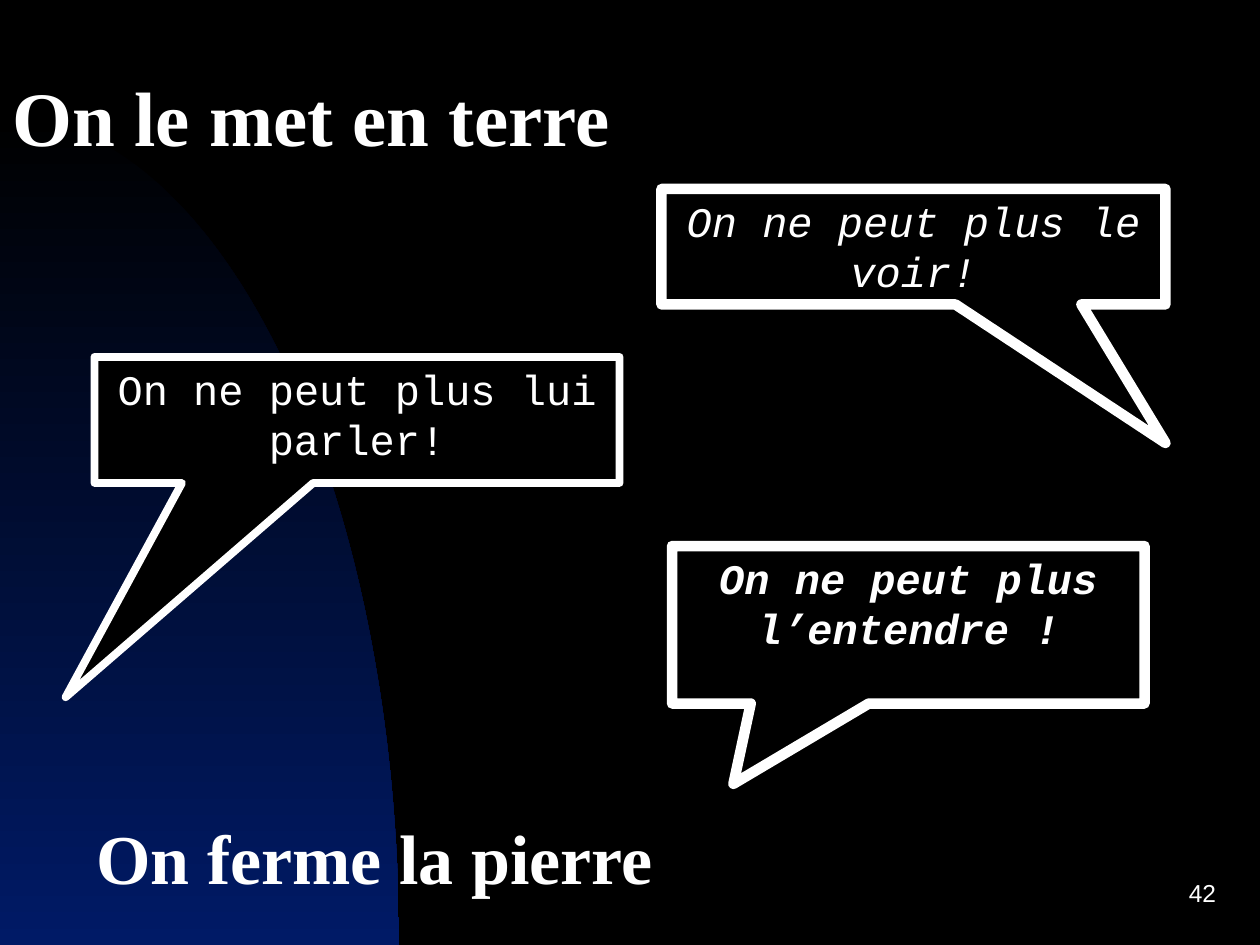
from math import cos, pi, sin

from pptx import Presentation
from pptx.dml.color import RGBColor
from pptx.enum.shapes import MSO_SHAPE
from pptx.enum.text import MSO_ANCHOR, PP_ALIGN
from pptx.util import Pt

BLACK = RGBColor(0x00, 0x00, 0x00)
WHITE = RGBColor(0xFF, 0xFF, 0xFF)
NAVY = RGBColor(0x00, 0x1A, 0x66)

WIDTH, HEIGHT = 720, 540
ARC_RX, ARC_RY = 228, 474
ARC_STEPS = 90

HEADING = {"name": "Times New Roman", "bold": True}
SPEECH = {"name": "Courier New", "size": Pt(24)}

CALLOUTS = [
    ("On ne peut plus le voir!", (378, 108, 288, 66), (0.5, 1.7), 6,
     {"italic": True}),
    ("On ne peut plus lui parler!", (54, 204, 300, 72), (-0.555, 2.2), 4.5, {}),
    ("On ne peut plus l’entendre !", (384, 312, 270, 90), (-0.37, 1.01), 6,
     {"bold": True, "italic": True}),
]


def write_text(sp, text, font, align=PP_ALIGN.LEFT, anchor=MSO_ANCHOR.TOP):
    tf = sp.text_frame
    tf.word_wrap = True
    tf.vertical_anchor = anchor
    p = tf.paragraphs[0]
    p.alignment = align
    r = p.add_run()
    r.text = text
    r.font.color.rgb = WHITE
    for key, value in font.items():
        setattr(r.font, key, value)


def add_text(s, text, box, font, **layout):
    sp = s.shapes.add_textbox(*map(Pt, box))
    write_text(sp, text, font, **layout)


def add_callout(s, text, box, tip, line_width, style):
    sp = s.shapes.add_shape(MSO_SHAPE.RECTANGULAR_CALLOUT, *map(Pt, box))
    sp.shadow.inherit = False
    sp.fill.solid()
    sp.fill.fore_color.rgb = BLACK
    sp.line.color.rgb = WHITE
    sp.line.width = Pt(line_width)
    for i, value in enumerate(tip):
        sp.adjustments[i] = value
    write_text(sp, text, SPEECH | style, align=PP_ALIGN.CENTER)


def add_arc(s):
    angles = [pi / 2 * i / ARC_STEPS for i in range(ARC_STEPS + 1)]
    curve = [(Pt(ARC_RX * sin(a)), Pt(HEIGHT - ARC_RY * cos(a))) for a in angles]
    builder = s.shapes.build_freeform(0, Pt(HEIGHT))
    builder.add_line_segments(curve, close=True)
    sp = builder.convert_to_shape()
    sp.shadow.inherit = False
    sp.line.fill.background()
    sp.fill.gradient()
    sp.fill.gradient_angle = 270
    for stop, color in zip(sp.fill.gradient_stops, (BLACK, NAVY)):
        stop.color.rgb = color


def main():
    prs = Presentation()
    prs.slide_width, prs.slide_height = Pt(WIDTH), Pt(HEIGHT)
    s = prs.slides.add_slide(prs.slide_layouts[6])
    s.background.fill.solid()
    s.background.fill.fore_color.rgb = BLACK

    add_arc(s)
    add_text(s, "On le met en terre", (0, 36, 378, 60),
             HEADING | {"size": Pt(44)})
    add_text(s, "On ferme la pierre", (48, 462, 372, 56),
             HEADING | {"size": Pt(40)})
    for callout in CALLOUTS:
        add_callout(s, *callout)
    add_text(s, "42", (552, 492, 150, 36), {"name": "Arial", "size": Pt(14)},
             align=PP_ALIGN.RIGHT, anchor=MSO_ANCHOR.MIDDLE)

    prs.save("out.pptx")


if __name__ == "__main__":
    main()
